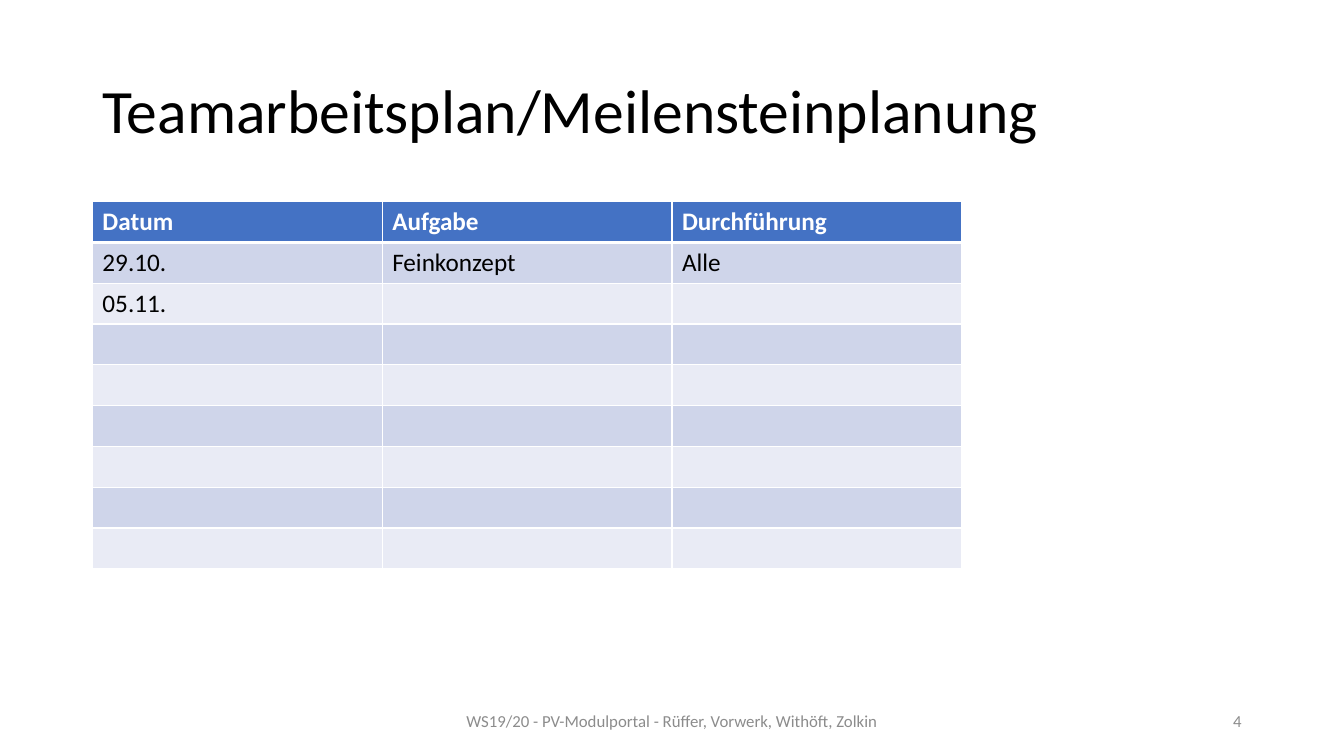
from dataclasses import dataclass

from lxml.etree import SubElement
from pptx import Presentation
from pptx.dml.color import RGBColor
from pptx.enum.text import MSO_ANCHOR as Anchor, PP_ALIGN as Align
from pptx.oxml.ns import qn
from pptx.slide import Slide
from pptx.table import _Cell as Cell
from pptx.text.text import _Paragraph as Paragraph
from pptx.util import Inches, Pt

BLACK = RGBColor(0x00, 0x00, 0x00)
WHITE = RGBColor(0xFF, 0xFF, 0xFF)
GREY = RGBColor(0x8C, 0x8C, 0x8C)
HEADER_BLUE = RGBColor(0x44, 0x72, 0xC4)
BAND_DARK = RGBColor(0xCF, 0xD5, 0xEA)
BAND_LIGHT = RGBColor(0xE9, 0xEB, 0xF5)

FONT = "Calibri"
SLIDE_WIDTH, SLIDE_HEIGHT = Inches(13.33), Inches(7.5)
GRID_COLUMNS, GRID_ROWS = 160, 90
TABLE_COLUMN, TABLE_ROW = 34.5, 4.86
PLAN = [
    ["Datum", "Aufgabe", "Durchführung"],
    ["29.10.", "Feinkonzept", "Alle"],
    ["05.11.", "", ""],
    *[["", "", ""] for _ in range(6)],
]


@dataclass(frozen=True)
class Area:
    column: float
    row: float
    columns: float
    rows: float

    def lengths(self) -> tuple[int, int, int, int]:
        return across(self.column), down(self.row), across(self.columns), down(self.rows)


@dataclass(frozen=True)
class Label:
    text: str
    area: Area
    size: int
    color: RGBColor
    align: Align
    spacing: float = 1.0


LABELS = [
    Label("Teamarbeitsplan/Meilensteinplanung", Area(11, 4.8, 138, 17.4),
          44, BLACK, Align.LEFT, 0.9),
    Label("WS19/20 - PV-Modulportal - Rüffer, Vorwerk, Withöft, Zolkin",
          Area(53, 83.4, 54, 4.8), 12, GREY, Align.CENTER),
    Label("4", Area(113, 83.4, 36, 4.8), 12, GREY, Align.RIGHT),
]


def across(columns: float) -> int:
    return round(SLIDE_WIDTH * columns / GRID_COLUMNS)


def down(rows: float) -> int:
    return round(SLIDE_HEIGHT * rows / GRID_ROWS)


def add_run(para: Paragraph, text: str, size: int, color: RGBColor, bold: bool = False) -> None:
    span = para.add_run()
    span.text = text
    span.font.name = FONT
    span.font.size = Pt(size)
    span.font.color.rgb = color
    span.font.bold = bold


def add_label(page: Slide, label: Label) -> None:
    box = page.shapes.add_textbox(*label.area.lengths())
    frame = box.text_frame
    frame.word_wrap = True
    frame.vertical_anchor = Anchor.MIDDLE
    para = frame.paragraphs[0]
    para.alignment = label.align
    para.line_spacing = label.spacing
    add_run(para, label.text, label.size, label.color)


def add_borders(cell: Cell, top: int, bottom: int) -> None:
    properties = cell._tc.get_or_add_tcPr()
    for side, width in {"L": 1, "R": 1, "T": top, "B": bottom}.items():
        line = SubElement(properties, qn(f"a:ln{side}"), w=str(Pt(width)))
        paint = SubElement(line, qn("a:solidFill"))
        SubElement(paint, qn("a:srgbClr"), val=str(WHITE))


def fill_cell(cell: Cell, text: str, row: int) -> None:
    header = row == 0
    add_borders(cell, top=3 if row == 1 else 1, bottom=3 if header else 1)
    cell.fill.solid()
    band = BAND_DARK if row % 2 else BAND_LIGHT
    cell.fill.fore_color.rgb = HEADER_BLUE if header else band
    if text:
        color = WHITE if header else BLACK
        add_run(cell.text_frame.paragraphs[0], text, 18, color, header)


def add_plan(page: Slide) -> None:
    rows, columns = len(PLAN), len(PLAN[0])
    area = Area(11, 24, columns * TABLE_COLUMN, rows * TABLE_ROW)
    table = page.shapes.add_table(rows, columns, *area.lengths()).table
    for column in table.columns:
        column.width = across(TABLE_COLUMN)
    for row, texts in enumerate(PLAN):
        table.rows[row].height = down(TABLE_ROW)
        for column, text in enumerate(texts):
            fill_cell(table.cell(row, column), text, row)


def main() -> None:
    deck = Presentation()
    deck.slide_width, deck.slide_height = SLIDE_WIDTH, SLIDE_HEIGHT
    page = deck.slides.add_slide(deck.slide_layouts[6])
    title, *footers = LABELS
    add_label(page, title)
    add_plan(page)
    for footer in footers:
        add_label(page, footer)
    deck.save("out.pptx")


if __name__ == "__main__":
    main()
